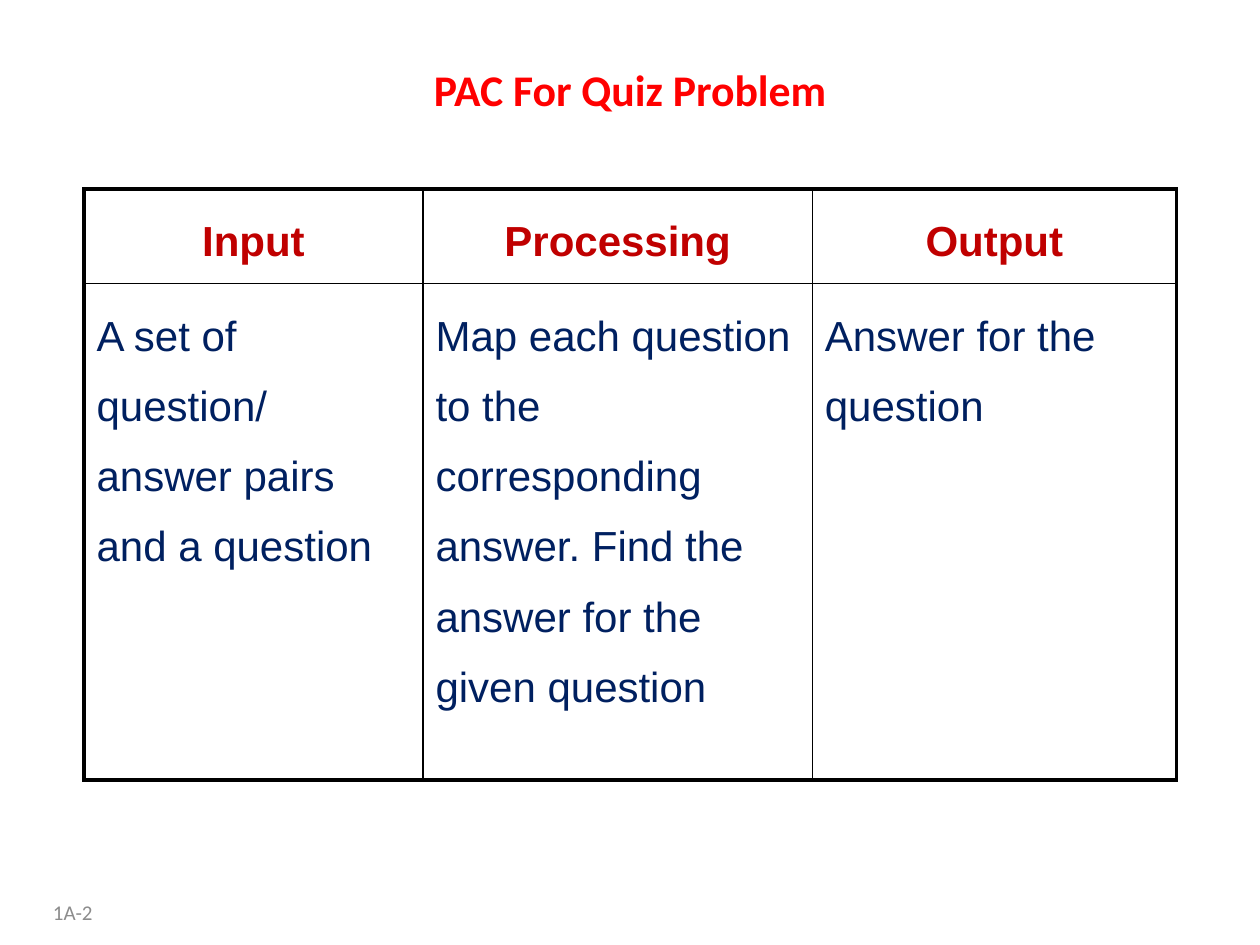
from lxml.etree import SubElement
from pptx import Presentation
from pptx.dml.color import RGBColor as Rgb
from pptx.enum.text import MSO_ANCHOR as Anchor, PP_ALIGN as Align
from pptx.oxml.ns import qn
from pptx.util import Pt

COLORS = {"title": "FF0000", "heading": "C00000", "body": "002060",
          "border": "000000", "number": "8C8C8C"}
TITLE = {"size": Pt(25), "name": "Calibri", "bold": True}
HEADING = {"size": Pt(24), "name": "Arial", "bold": True}
BODY = {**HEADING, "bold": False}
NUMBER = {"size": Pt(12), "name": "Calibri", "bold": False}
SPACING = {"line_spacing": 1.5, "space_before": Pt(4.8)}
COLUMN_WIDTHS = (193.7, 222.5, 208)
ROW_HEIGHTS = (54, 283.7)
CHART_ROWS = (
    ("Input", "Processing", "Output"),
    ("A set of question/ answer pairs and a question",
     "Map each question to the corresponding answer. "
     "Find the answer for the given question",
     "Answer for the question"),
)


def apply(target, values):
    """Set every attribute in values on target."""
    for attribute, value in values.items():
        setattr(target, attribute, value)


def write(frame, text, font, color, paragraph_format):
    """Put one formatted paragraph into a text frame."""
    frame.word_wrap = True
    paragraph = frame.paragraphs[0]
    apply(paragraph, paragraph_format)
    run = paragraph.add_run()
    run.text = text
    apply(run.font, font)
    run.font.color.rgb = Rgb.from_string(COLORS[color])


def draw_borders(cell, widths):
    """Draw the four cell borders with the given widths in points."""
    properties = cell._tc.get_or_add_tcPr()
    for side, width in widths.items():
        line = SubElement(properties, qn(f"a:ln{side}"), w=str(Pt(width)))
        fill = SubElement(line, qn("a:solidFill"))
        SubElement(fill, qn("a:srgbClr"), val=COLORS["border"])


def add_title(slide, text):
    """Place and fill the title placeholder."""
    title = slide.shapes.title
    apply(title, {"left": Pt(24), "top": Pt(12), "width": Pt(672), "height": Pt(78)})
    title.text_frame.vertical_anchor = Anchor.MIDDLE
    write(title.text_frame, text, TITLE, "title", {"alignment": Align.CENTER})


def add_analysis_chart(slide):
    """Add the table of input, processing and output."""
    last_row, last_column = len(ROW_HEIGHTS) - 1, len(COLUMN_WIDTHS) - 1
    analysis = slide.shapes.add_table(
        last_row + 1, last_column + 1, Pt(48), Pt(108),
        Pt(sum(COLUMN_WIDTHS)), Pt(sum(ROW_HEIGHTS))).table
    apply(analysis, {"first_row": False, "horz_banding": False})
    for column, width in zip(analysis.columns, COLUMN_WIDTHS):
        column.width = Pt(width)
    for row, height in zip(analysis.rows, ROW_HEIGHTS):
        row.height = Pt(height)
    for r, texts in enumerate(CHART_ROWS):
        font, color, alignment = ((BODY, "body", Align.LEFT) if r
                                  else (HEADING, "heading", Align.CENTER))
        for c, text in enumerate(texts):
            cell = analysis.cell(r, c)
            outer = {"L": c == 0, "R": c == last_column,
                     "T": r == 0, "B": r == last_row}
            draw_borders(cell, {side: 2.25 if edge else 1
                                for side, edge in outer.items()})
            cell.fill.background()
            write(cell.text_frame, text, font, color,
                  {**SPACING, "alignment": alignment})


def add_page_number(slide, text):
    """Add the page number at the lower left."""
    number = slide.shapes.add_textbox(Pt(0), Pt(502.5), Pt(60), Pt(37.5))
    number.text_frame.vertical_anchor = Anchor.MIDDLE
    write(number.text_frame, text, NUMBER, "number", {"alignment": Align.RIGHT})


def main():
    """Build and save the slide."""
    deck = Presentation()
    apply(deck, {"slide_width": Pt(720), "slide_height": Pt(540)})
    slide = deck.slides.add_slide(deck.slide_layouts.get_by_name("Title Only"))
    add_title(slide, "PAC For Quiz Problem")
    add_analysis_chart(slide)
    add_page_number(slide, "1A-2")
    deck.save("out.pptx")


main()
